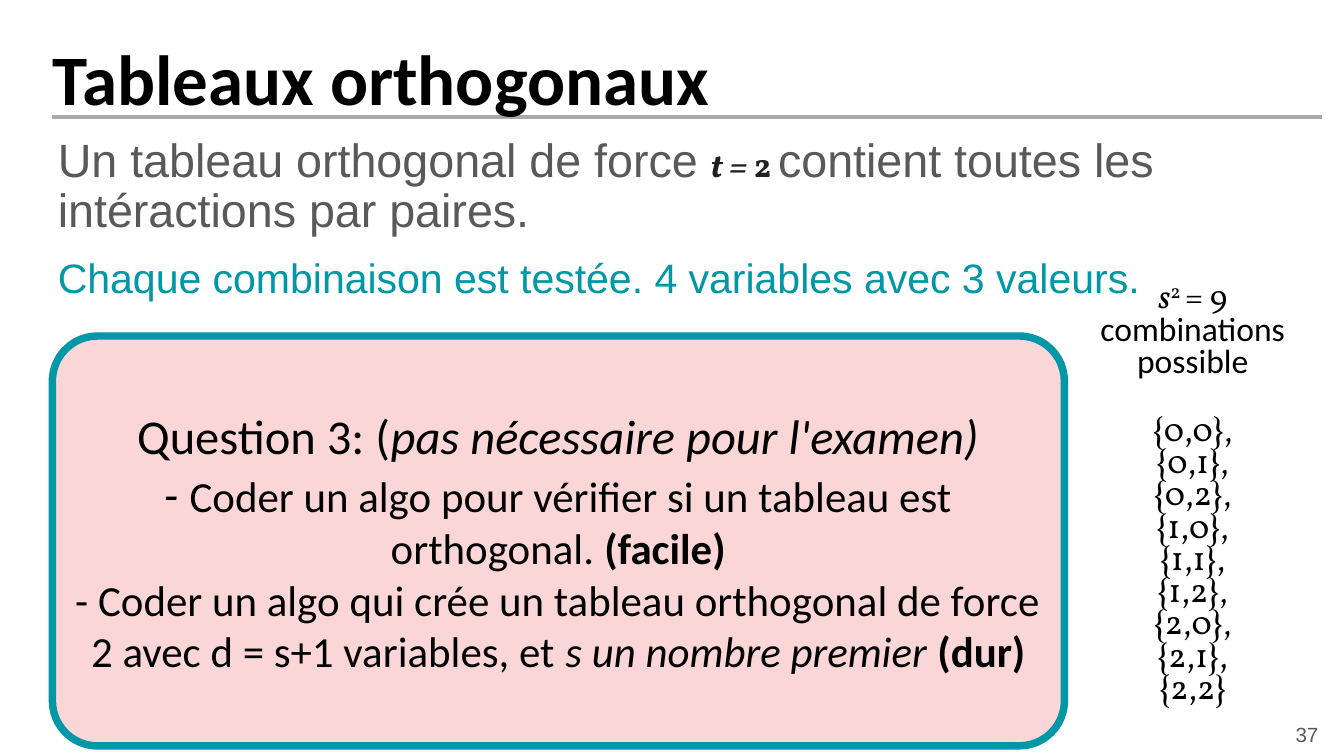
from itertools import product

from lxml.etree import SubElement
from pptx import Presentation
from pptx.dml.color import RGBColor
from pptx.enum.shapes import MSO_CONNECTOR, MSO_SHAPE
from pptx.enum.text import MSO_ANCHOR, PP_ALIGN
from pptx.oxml.ns import qn
from pptx.util import Inches, Pt

BLACK = RGBColor(0x00, 0x00, 0x00)
INK = RGBColor(0x21, 0x21, 0x21)
GREY = RGBColor(0x59, 0x59, 0x59)
RULE_GREY = RGBColor(0xA6, 0xAA, 0xA9)
TEAL = RGBColor(0x00, 0x97, 0xA7)
RED = RGBColor(0xEC, 0x5A, 0x54)


class SlideBuilder:
    """Draws styled elements on the current slide."""

    def __init__(self, slide):
        self.slide = slide

    def frame(self, shape, margin, anchor):
        frame = shape.text_frame
        frame.word_wrap = True
        frame.vertical_anchor = anchor
        frame.margin_left = frame.margin_right = Inches(margin)
        frame.margin_top = frame.margin_bottom = Inches(margin)
        return frame

    def text_box(self, left, top, width, height, margin=0.04, anchor=MSO_ANCHOR.TOP):
        shape = self.slide.shapes.add_textbox(
            Inches(left), Inches(top), Inches(width), Inches(height))
        return self.frame(shape, margin, anchor)

    def panel(self, left, top, width, height, margin=0.03):
        shape = self.slide.shapes.add_shape(
            MSO_SHAPE.ROUNDED_RECTANGLE,
            Inches(left), Inches(top), Inches(width), Inches(height))
        shape.adjustments[0] = 0.11
        shape.shadow.inherit = False
        shape.fill.solid()
        shape.fill.fore_color.rgb = RED
        color = shape.fill._xPr.find(qn("a:solidFill"))[0]
        SubElement(color, qn("a:alpha"), val="24000")
        shape.line.color.rgb = TEAL
        shape.line.width = Pt(4)
        return self.frame(shape, margin, MSO_ANCHOR.MIDDLE)

    def rule(self, left, top, right):
        line = self.slide.shapes.add_connector(
            MSO_CONNECTOR.STRAIGHT, Inches(left), Inches(top), Inches(right), Inches(top))
        line.line.color.rgb = RULE_GREY
        line.line.width = Pt(2)
        SubElement(line._element.spPr, qn("a:effectLst"))

    def paragraph(self, frame, align=PP_ALIGN.LEFT, spacing=1.0, before=0):
        first = frame.paragraphs[0]
        paragraph = frame.add_paragraph() if first.runs else first
        paragraph.alignment = align
        paragraph.line_spacing = spacing
        paragraph.space_before = Pt(before)
        return paragraph

    def run(self, paragraph, text, size, font="Calibri", color=BLACK,
            bold=False, italic=False, baseline=0):
        for index, line in enumerate(text.split("\n")):
            if index:
                paragraph.add_line_break()
            run = paragraph.add_run()
            run.text = line
            run.font.size = Pt(size)
            run.font.name = font
            run.font.color.rgb = color
            run.font.bold = bold
            run.font.italic = italic
            if baseline:
                run.font._element.set("baseline", str(baseline * 1000))


def main():
    presentation = Presentation()
    presentation.slide_width = Inches(10)
    presentation.slide_height = presentation.slide_width * 9 // 16
    slide = presentation.slides.add_slide(presentation.slide_layouts[6])
    builder = SlideBuilder(slide)
    run = builder.run

    body = builder.text_box(0.39, 0.98, 9.61, 4.26)
    paragraph = builder.paragraph(body, spacing=0.9)
    run(paragraph, "Un tableau orthogonal de force ", 25, "Arial", GREY)
    run(paragraph, "t = ", 18, "Vollkorn", INK, bold=True, italic=True)
    run(paragraph, "2 ", 18, "Vollkorn", INK, bold=True)
    run(paragraph, "contient toutes les intéractions par paires.", 25, "Arial", GREY)
    paragraph = builder.paragraph(body, spacing=0.8, before=13)
    run(paragraph, "Chaque combinaison est testée. 4 variables avec 3 valeurs.",
        22, "Arial", TEAL)

    question = builder.panel(0.39, 2.5, 7.53, 3.05)
    paragraph = builder.paragraph(question, PP_ALIGN.CENTER)
    run(paragraph, "Question 3: (", 26)
    run(paragraph, "pas nécessaire pour l'examen)\n- ", 26, italic=True)
    run(paragraph, "Coder un algo pour vérifier si un tableau est orthogonal. ", 23)
    run(paragraph, "(facile)", 23, bold=True)
    paragraph = builder.paragraph(question, PP_ALIGN.CENTER)
    run(paragraph, "- Coder un algo qui crée un tableau orthogonal de force 2 "
        "avec d = s+1 variables, et ", 23)
    run(paragraph, "s un nombre premier ", 23, italic=True)
    run(paragraph, "(dur)", 23, bold=True)

    builder.rule(0.39, 0.87, 9.84)
    title = builder.text_box(0.39, 0.11, 9.22, 0.78, 0, MSO_ANCHOR.BOTTOM)
    run(builder.paragraph(title), "Tableaux orthogonaux", 38, bold=True)

    number = builder.text_box(9.58, 5.33, 0.27, 0.27)
    run(builder.paragraph(number, PP_ALIGN.RIGHT), "37", 11, "Arial", GREY)

    combinations = builder.text_box(8.06, 2.08, 1.63, 3.2, 0.02, MSO_ANCHOR.MIDDLE)
    paragraph = builder.paragraph(combinations, PP_ALIGN.CENTER, 0.8)
    run(paragraph, "s", 18, "Vollkorn", italic=True)
    run(paragraph, "2 ", 18, "Vollkorn", baseline=30)
    run(paragraph, "= 9 ", 18, "Vollkorn")
    run(paragraph, "combinations possible", 18)
    paragraph = builder.paragraph(combinations, PP_ALIGN.CENTER, 0.8, 19)
    pairs = ",\n".join(f"{{{a},{b}}}" for a, b in product(range(3), repeat=2))
    run(paragraph, pairs, 18, "Vollkorn")

    presentation.save("out.pptx")


if __name__ == "__main__":
    main()
